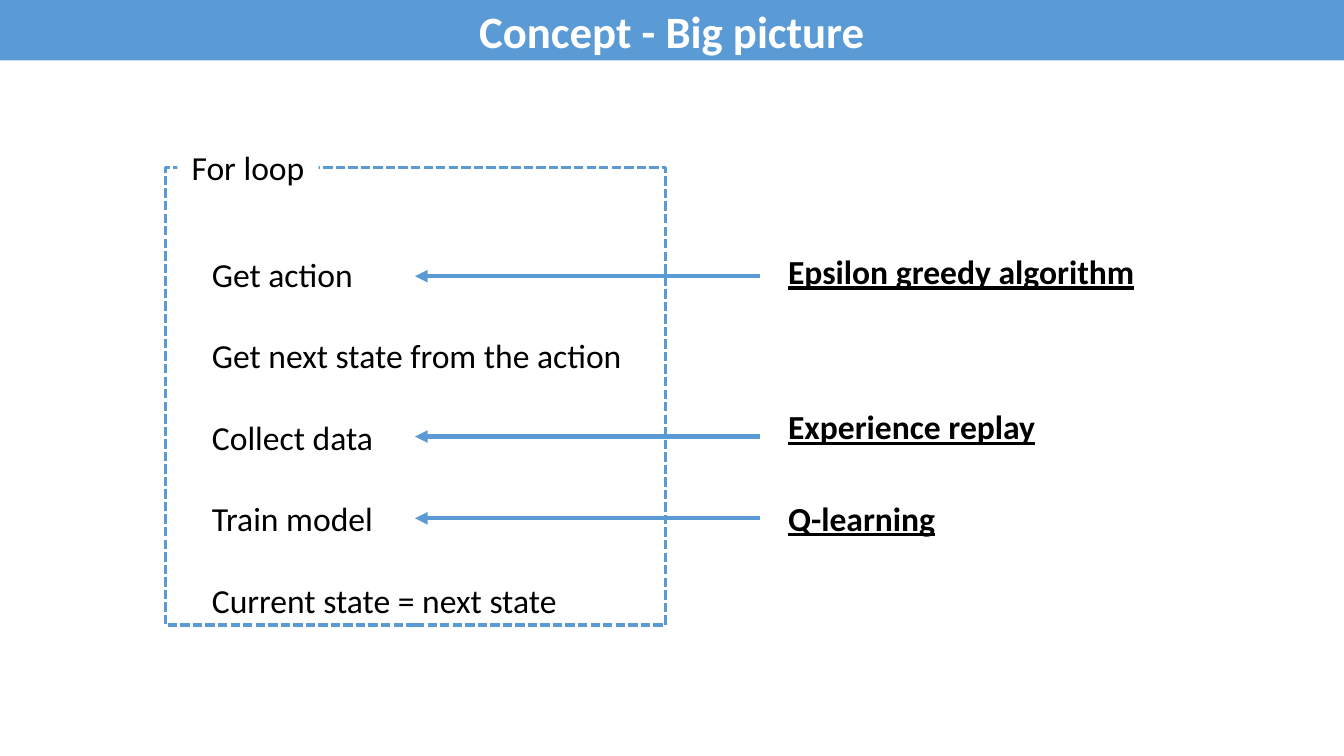
from dataclasses import dataclass

from lxml.etree import SubElement
from pptx import Presentation
from pptx.dml.color import RGBColor
from pptx.enum.dml import MSO_LINE as Dash
from pptx.enum.shapes import MSO_CONNECTOR as Link, MSO_SHAPE as Shape
from pptx.enum.text import MSO_ANCHOR as Anchor, MSO_AUTO_SIZE as Fit, PP_ALIGN as Align
from pptx.oxml.ns import qn
from pptx.util import Cm, Pt

BLUE = RGBColor(0x5B, 0x9B, 0xD5)
WHITE = RGBColor(0xFF, 0xFF, 0xFF)
BLACK = RGBColor(0x00, 0x00, 0x00)
WIDTH = Cm(33.87)
STEPS = [
    "Get action",
    "Get next state from the action",
    "Collect data",
    "Train model",
    "Current state = next state",
]


@dataclass
class Method:
    name: str
    top: float
    arrow: float


METHODS = [
    Method("Epsilon greedy algorithm", 6.2, 6.96),
    Method("Experience replay", 10.11, 11.0),
    Method("Q-learning", 12.42, 13.06),
]


def place(shape, left: float, top: float, width: float, height: float) -> None:
    shape.left, shape.top = Cm(left), Cm(top)
    shape.width, shape.height = Cm(width), Cm(height)


def style(para, size: int, color: RGBColor, bold: bool = False, under: bool = False) -> None:
    for run in para.runs:
        font = run.font
        font.name, font.size = "Calibri", Pt(size)
        font.bold, font.underline = bold, under
        font.color.rgb = color


def draw_title(title) -> None:
    place(title, 0, 0, 33.87, 1.52)
    title.fill.solid()
    title.fill.fore_color.rgb = BLUE
    frame = title.text_frame
    frame.text = "Concept - Big picture"
    frame.auto_size = Fit.NONE
    frame.vertical_anchor = Anchor.MIDDLE
    para = frame.paragraphs[0]
    para.alignment = Align.CENTER
    style(para, 32, WHITE, bold=True)


def draw_loop(body) -> None:
    place(body, 4.17, 4.22, 12.6, 11.53)
    body.line.color.rgb = BLUE
    body.line.width = Pt(2.25)
    body.line.dash_style = Dash.SQUARE_DOT
    frame = body.text_frame
    frame.text = "\n".join(STEPS)
    frame.auto_size = Fit.NONE
    frame.vertical_anchor = Anchor.TOP
    frame.margin_left, frame.margin_top = Cm(1.17), Cm(2.18)
    frame.margin_right = frame.margin_bottom = 0
    for row, para in enumerate(frame.paragraphs):
        para.space_before = Pt(29.3 if row else 0)
        props = para._p.get_or_add_pPr()
        props.set("marL", "0")
        props.set("indent", "0")
        SubElement(props, qn("a:buNone"))
        style(para, 24, BLACK)


def draw_label(shapes) -> None:
    label = shapes.add_shape(Shape.RECTANGLE, Cm(4.47), Cm(3.58), Cm(3.56), Cm(1.27))
    label.shadow.inherit = False
    label.fill.solid()
    label.fill.fore_color.rgb = WHITE
    label.line.fill.background()
    label.text_frame.text = "For loop"
    para = label.text_frame.paragraphs[0]
    para.alignment = Align.CENTER
    style(para, 24, BLACK)


def draw_method(shapes, item: Method) -> None:
    arrow = shapes.add_connector(
        Link.STRAIGHT, Cm(19.15), Cm(item.arrow), Cm(10.46), Cm(item.arrow)
    )
    arrow.line.color.rgb = BLUE
    arrow.line.width = Pt(3)
    SubElement(arrow.line._get_or_add_ln(), qn("a:tailEnd"), type="triangle")
    SubElement(arrow._element.spPr, qn("a:effectLst"))
    box = shapes.add_textbox(Cm(19.86), Cm(item.top), Cm(11.4), Cm(1.27))
    frame = box.text_frame
    frame.word_wrap = True
    frame.margin_left = 0
    frame.text = item.name
    style(frame.paragraphs[0], 24, BLACK, bold=True, under=True)


def main() -> None:
    deck = Presentation()
    deck.slide_width, deck.slide_height = WIDTH, Cm(19.05)
    slide = deck.slides.add_slide(deck.slide_layouts[1])
    draw_title(slide.shapes.title)
    draw_loop(slide.placeholders[1])
    for item in METHODS:
        draw_method(slide.shapes, item)
    draw_label(slide.shapes)
    deck.save("out.pptx")


if __name__ == "__main__":
    main()
